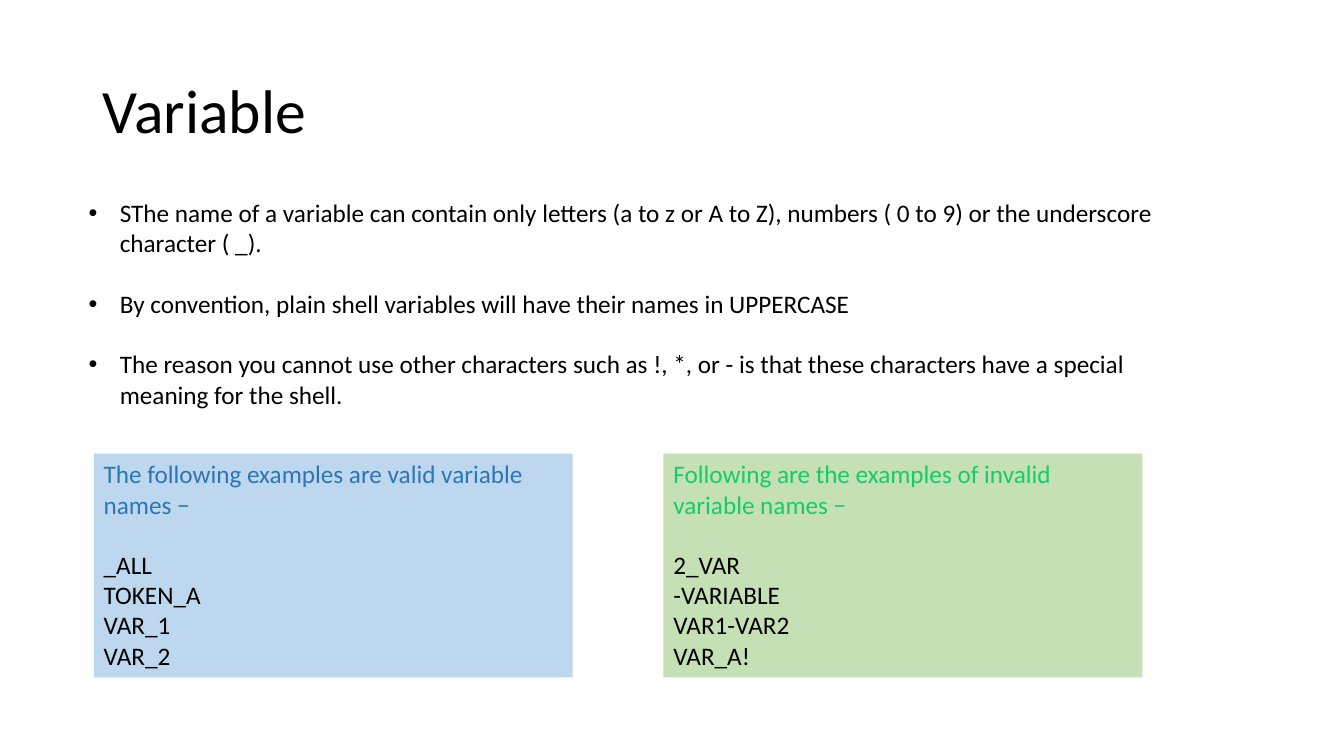
from dataclasses import dataclass

from lxml.etree import SubElement
from pptx import Presentation
from pptx.dml.color import RGBColor
from pptx.enum.shapes import MSO_SHAPE as Preset
from pptx.enum.text import MSO_ANCHOR as Anchor, MSO_AUTO_SIZE as AutoSize, PP_ALIGN as Align
from pptx.oxml.ns import qn
from pptx.slide import Slide
from pptx.text.text import TextFrame, _Paragraph as Paragraph
from pptx.util import Pt

EMU_PER_PX = 9144


@dataclass(frozen=True)
class Theme:
    font: str = "Calibri"
    title_size: float = 44
    body_size: float = 18
    line_gap: float = 21.6
    text: str = "000000"
    valid_fill: str = "BDD7EE"
    valid_heading: str = "2E75B6"
    invalid_fill: str = "C5E0B4"
    invalid_heading: str = "14CD68"


THEME = Theme()


@dataclass(frozen=True)
class Area:
    left: int
    top: int
    width: int
    height: int

    def emu(self) -> tuple[int, int, int, int]:
        return px(self.left), px(self.top), px(self.width), px(self.height)


@dataclass(frozen=True)
class ExamplePanel:
    heading: str
    names: tuple[str, ...]
    fill: str
    heading_color: str


PANELS = (
    ExamplePanel(
        "The following examples are valid variable names −",
        ("_ALL", "TOKEN_A", "VAR_1", "VAR_2"),
        THEME.valid_fill,
        THEME.valid_heading,
    ),
    ExamplePanel(
        "Following are the examples of invalid variable names −",
        ("2_VAR", "-VARIABLE", "VAR1-VAR2", "VAR_A!"),
        THEME.invalid_fill,
        THEME.invalid_heading,
    ),
)
RULES = (
    "SThe name of a variable can contain only letters (a to z or A to Z), "
    "numbers ( 0 to 9) or the underscore character ( _).",
    "By convention, plain shell variables will have their names in UPPERCASE",
    "The reason you cannot use other characters such as !, *, or - is that "
    "these characters have a special meaning for the shell.",
)
TITLE_AREA = Area(92, 40, 1150, 145)
RULES_AREA = Area(78, 191, 1132, 222)
FIRST_PANEL = Area(93, 450, 475, 222)
PANEL_STEP = 565
BULLET_INDENT = 31


def px(length: int) -> int:
    return length * EMU_PER_PX


def add_span(para: Paragraph, text: str, size: float, color: str) -> None:
    span = para.add_run()
    span.text = text
    span.font.name = THEME.font
    span.font.size = Pt(size)
    span.font.color.rgb = RGBColor.from_string(color)


def add_line(frame: TextFrame, index: int, text: str, color: str) -> Paragraph:
    para = frame.add_paragraph() if index else frame.paragraphs[0]
    para.alignment = Align.LEFT
    add_span(para, text, THEME.body_size, color)
    return para


def add_bullet(para: Paragraph) -> None:
    properties = para._p.get_or_add_pPr()
    properties.set("marL", str(px(BULLET_INDENT)))
    properties.set("indent", str(-px(BULLET_INDENT)))
    SubElement(properties, qn("a:buFont"), typeface="Arial")
    SubElement(properties, qn("a:buChar"), char="•")


def format_title(page: Slide) -> None:
    title = page.shapes.title
    title.left, title.top, title.width, title.height = TITLE_AREA.emu()
    frame = title.text_frame
    frame.auto_size = AutoSize.NONE
    frame.vertical_anchor = Anchor.MIDDLE
    para = frame.paragraphs[0]
    para.alignment = Align.LEFT
    para.line_spacing = 0.9
    add_span(para, "Variable", THEME.title_size, THEME.text)


def add_rules(page: Slide) -> None:
    frame = page.shapes.add_textbox(*RULES_AREA.emu()).text_frame
    frame.word_wrap = True
    for index, rule in enumerate(RULES):
        para = add_line(frame, index, rule, THEME.text)
        if index < len(RULES) - 1:
            para.space_after = Pt(THEME.line_gap)
        add_bullet(para)


def add_panel(page: Slide, panel: ExamplePanel, area: Area) -> None:
    box = page.shapes.add_shape(Preset.RECTANGLE, *area.emu())
    box.shadow.inherit = False
    box.fill.solid()
    box.fill.fore_color.rgb = RGBColor.from_string(panel.fill)
    box.line.fill.background()
    frame = box.text_frame
    frame.word_wrap = True
    frame.vertical_anchor = Anchor.TOP
    heading = add_line(frame, 0, panel.heading, panel.heading_color)
    heading.space_after = Pt(THEME.line_gap)
    for index, name in enumerate(panel.names, start=1):
        add_line(frame, index, name, THEME.text)


def main() -> None:
    deck = Presentation()
    deck.slide_width, deck.slide_height = px(1333), px(750)
    page = deck.slides.add_slide(deck.slide_layouts.get_by_name("Title Only"))
    format_title(page)
    add_rules(page)
    for index, panel in enumerate(PANELS):
        left = FIRST_PANEL.left + index * PANEL_STEP
        area = Area(left, FIRST_PANEL.top, FIRST_PANEL.width, FIRST_PANEL.height)
        add_panel(page, panel, area)
    deck.save("out.pptx")


if __name__ == "__main__":
    main()
